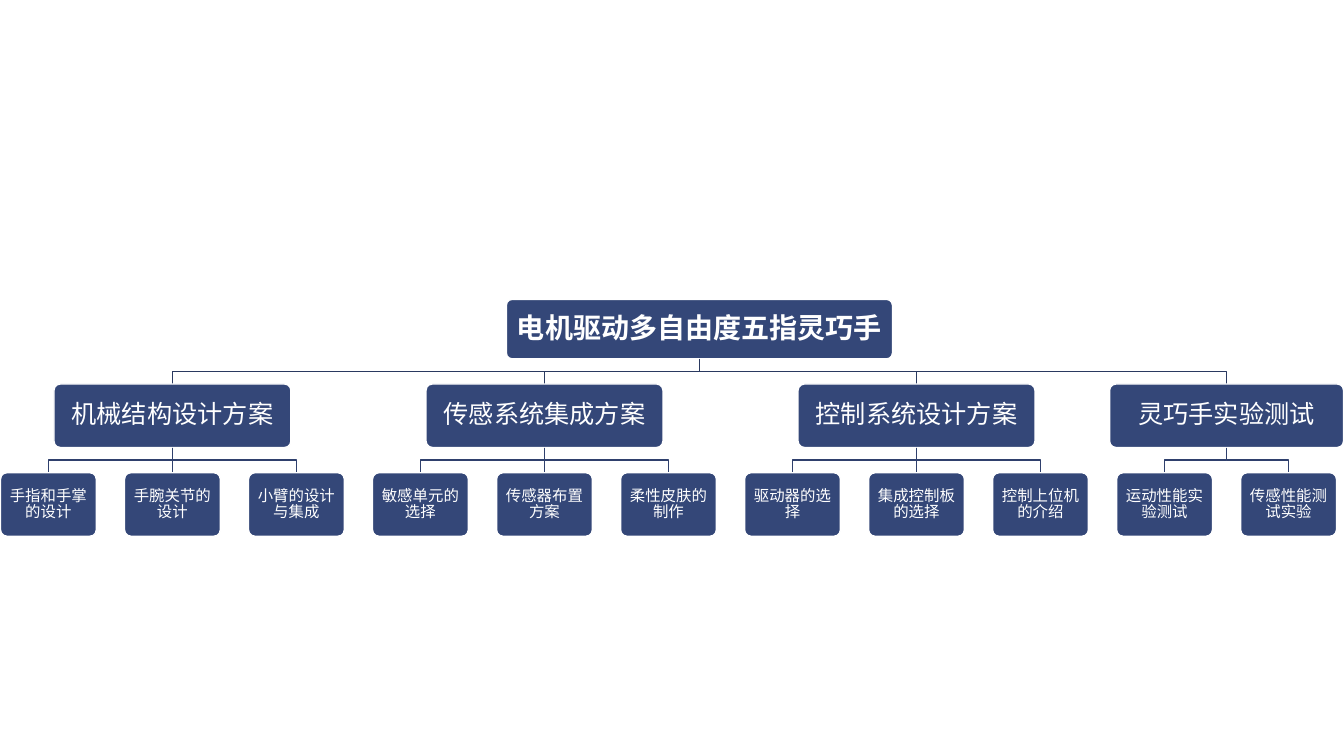
"""Build a slide with the three-level work breakdown of a dexterous hand."""
from dataclasses import dataclass

from lxml import etree
from pptx import Presentation
from pptx import util as u
from pptx.dml.color import RGBColor
from pptx.enum import shapes, text
from pptx.oxml import ns


@dataclass(frozen=True)
class Theme:
    font: str = "Noto Sans CJK SC"
    box: RGBColor = RGBColor(0x34, 0x47, 0x78)
    paper: RGBColor = RGBColor(0xFF, 0xFF, 0xFF)
    upper_link: RGBColor = RGBColor(0x2A, 0x39, 0x60)
    lower_link: RGBColor = RGBColor(0x2F, 0x40, 0x6D)
    root_size: int = 20
    branch_size: int = 18
    leaf_size: int = 11


theme = Theme()

COLUMN = 1.23
FIRST_CENTER = 0.48
ROOT_TOP, BRANCH_TOP, LEAF_TOP = 2.97, 3.81, 4.69
ROOT_WIDTH, LEAF_WIDTH = 3.83, 0.95
ROOT_HEIGHT, NODE_HEIGHT = 0.59, 0.63

ROOT = "电机驱动多自由度五指灵巧手"
BRANCHES = [
    ("机械结构设计方案", 2.35, ["手指和手掌的设计", "手腕关节的设计", "小臂的设计与集成"]),
    ("传感系统集成方案", 2.35, ["敏感单元的选择", "传感器布置方案", "柔性皮肤的制作"]),
    ("控制系统设计方案", 2.35, ["驱动器的选择", "集成控制板的选择", "控制上位机的介绍"]),
    ("灵巧手实验测试", 2.32, ["运动性能实验测试", "传感性能测试实验"]),
]

presentation = Presentation()
presentation.slide_width = u.Inches(13.33)
presentation.slide_height = u.Inches(7.5)
slide = presentation.slides.add_slide(presentation.slide_layouts[6])


def add_node(label, *, center, top, width, height, size, inset, bold=False):
    shape = slide.shapes.add_shape(
        shapes.MSO_SHAPE.ROUNDED_RECTANGLE,
        u.Inches(center - width / 2), u.Inches(top), u.Inches(width), u.Inches(height))
    shape.adjustments[0] = 0.1
    shape.shadow.inherit = False
    shape.fill.solid()
    shape.fill.fore_color.rgb = theme.box
    shape.line.color.rgb = theme.paper
    shape.line.width = u.Pt(1)
    frame = shape.text_frame
    frame.word_wrap = True
    frame.vertical_anchor = text.MSO_ANCHOR.MIDDLE
    frame.margin_left = frame.margin_right = u.Inches(inset)
    frame.margin_top = frame.margin_bottom = u.Inches(inset)
    paragraph = frame.paragraphs[0]
    paragraph.alignment = text.PP_ALIGN.CENTER
    paragraph.line_spacing = 0.9
    paragraph.space_after = u.Pt(0.35 * size)
    run = paragraph.add_run()
    run.text = label
    run.font.size = u.Pt(size)
    run.font.bold = bold
    run.font.color.rgb = theme.paper
    run.font.name = theme.font
    east_asian = etree.SubElement(run.font._element, ns.qn("a:ea"))
    east_asian.set("typeface", theme.font)


def add_link(start, end, top, bottom, color):
    start, end, top, bottom = (u.Inches(length) for length in (start, end, top, bottom))
    if abs(start - end) < u.Inches(0.01):
        link = slide.shapes.add_connector(
            shapes.MSO_CONNECTOR.STRAIGHT, start, top, end, bottom)
        etree.SubElement(link._element.spPr, ns.qn("a:effectLst"))
    else:
        middle = (top + bottom) // 2
        builder = slide.shapes.build_freeform(start, top)
        builder.add_line_segments(
            [(start, middle), (end, middle), (end, bottom)], close=False)
        link = builder.convert_to_shape()
        link.fill.background()
        link.shadow.inherit = False
    link.line.color.rgb = color
    link.line.width = u.Pt(1)


centers = []
column = 0
for _, _, leaves in BRANCHES:
    centers.append(FIRST_CENTER + COLUMN * (column + (len(leaves) - 1) / 2))
    column += len(leaves)
root_center = (centers[0] + centers[-1]) / 2

add_node(ROOT, center=root_center, top=ROOT_TOP, width=ROOT_WIDTH, height=ROOT_HEIGHT,
         size=theme.root_size, inset=0.07, bold=True)

for branch_center, (branch, branch_width, leaves) in zip(centers, BRANCHES):
    add_link(root_center, branch_center, ROOT_TOP + ROOT_HEIGHT, BRANCH_TOP, theme.upper_link)
    add_node(branch, center=branch_center, top=BRANCH_TOP, width=branch_width,
             height=NODE_HEIGHT, size=theme.branch_size, inset=0.09)
    for index, leaf in enumerate(leaves):
        leaf_center = branch_center + COLUMN * (index - (len(leaves) - 1) / 2)
        add_link(branch_center, leaf_center, BRANCH_TOP + NODE_HEIGHT, LEAF_TOP,
                 theme.lower_link)
        add_node(leaf, center=leaf_center, top=LEAF_TOP, width=LEAF_WIDTH,
                 height=NODE_HEIGHT, size=theme.leaf_size, inset=0.07)

presentation.save("out.pptx")
